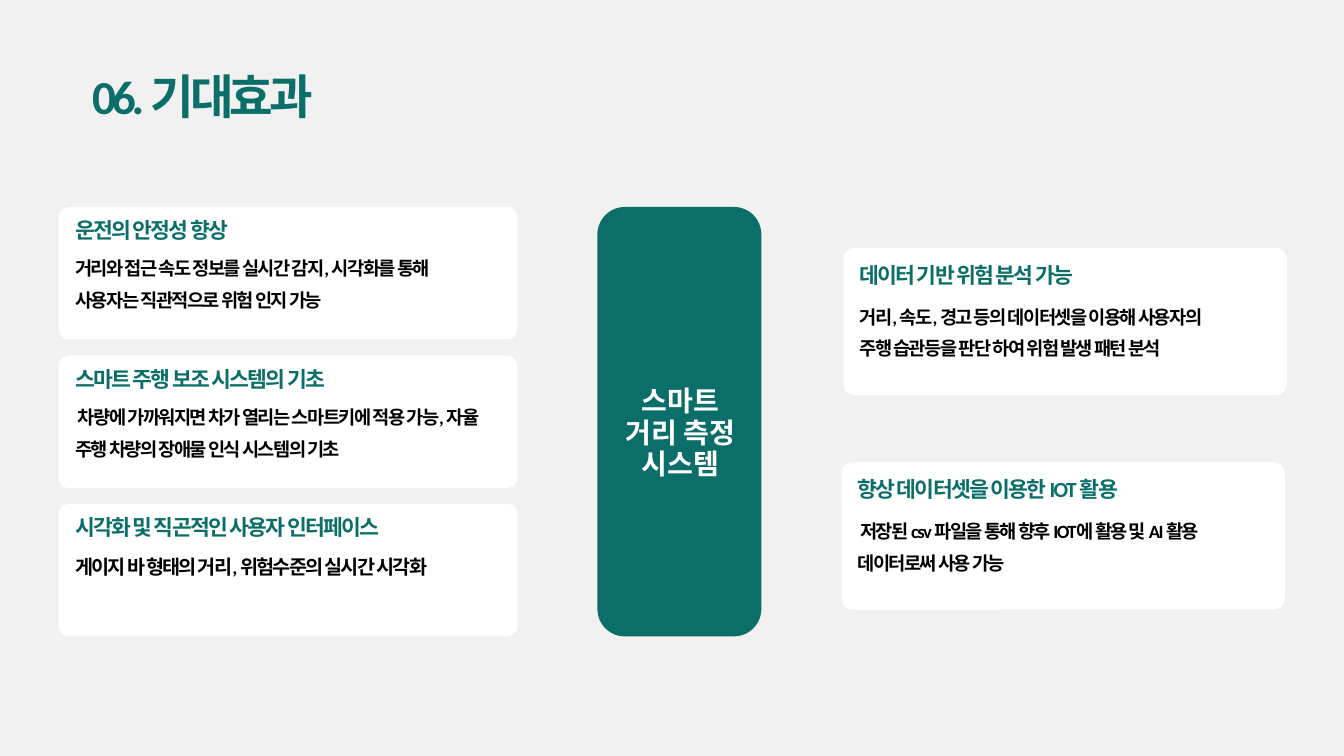
"""Build the expected-effects slide: benefit cards on both sides of a system pillar."""
import pptx
import pptx.dml.color
import pptx.enum.shapes
import pptx.enum.text
import pptx.util

Inches = pptx.util.Inches
Points = pptx.util.Pt
Color = pptx.dml.color.RGBColor.from_string
Align = pptx.enum.text.PP_ALIGN

TITLE = "06. 기대효과"
PILLAR_LINES = ["스마트", "거리 측정", "시스템"]
LEFT_CARDS = [
    ("운전의 안정성 향상",
     "거리와 접근 속도 정보를 실시간 감지, 시각화를 통해 사용자는 직관적으로 위험 인지 가능",
     "body", 5.65),
    ("스마트 주행 보조 시스템의 기초",
     " 차량에 가까워지면 차가 열리는 스마트키에 적용 가능, 자율 주행 차량의 장애물 인식 시스템의 기초",
     "body", 6.08),
    ("시각화 및 직곤적인 사용자 인터페이스",
     "게이지 바 형태의 거리, 위험수준의 실시간 시각화",
     "body_large", 6.19),
]
RIGHT_CARDS = [
    ("데이터 기반 위험 분석 가능",
     "거리, 속도, 경고 등의 데이터셋을 이용해 사용자의 주행 습관등을 판단 하여 위험 발생 패턴 분석",
     "body", 5.46),
    ("향상 데이터셋을 이용한 IOT 활용",
     " 저장된 csv 파일을 통해 향후 IOT에 활용 및 AI 활용 데이터로써 사용 가능",
     "body", 5.46),
]

THEME = {
    "background": "F1F1F1",
    "card": "FFFFFF",
    "accent": "0B6E69",
    "title": {"font": "Calibri", "size": 50.7, "color": "0B6E69", "line": 56.3, "tracking": -4.5},
    "heading": {"font": "Calibri", "size": 23.1, "color": "0B6E69", "line": 25.6, "tracking": -1.9},
    "body": {"font": "Calibri", "size": 20, "color": "000000", "line": 33.9, "tracking": -1.7},
    "body_large": {"font": "Calibri", "size": 21, "color": "000000", "line": 35.5, "tracking": -1.8},
    "pillar": {"font": "Arial", "size": 30.1, "color": "FFFFFF", "line": 33.4, "tracking": 0},
}

COLUMNS = [
    {"cards": LEFT_CARDS, "left": 0.87, "top": 3.08, "width": 6.83, "height": 1.97,
     "pitch": 2.21, "shift": 0, "inset": 0.25, "heading": 0.18, "body": 0.61},
    {"cards": RIGHT_CARDS, "left": 12.55, "top": 3.69, "width": 6.6, "height": 2.19,
     "pitch": 3.19, "shift": -0.03, "inset": 0.24, "heading": 0.23, "body": 0.72},
]


def write_text(shape, lines, style, align=Align.LEFT):
    frame = shape.text_frame
    settings = {
        "margin_left": 0, "margin_top": 0, "margin_right": 0, "margin_bottom": 0,
        "word_wrap": True,
        "auto_size": pptx.enum.text.MSO_AUTO_SIZE.SHAPE_TO_FIT_TEXT,
        "vertical_anchor": pptx.enum.text.MSO_ANCHOR.TOP,
    }
    for name, value in settings.items():
        setattr(frame, name, value)
    look = THEME[style]
    for index, line in enumerate(lines):
        paragraph = frame.add_paragraph() if index else frame.paragraphs[0]
        paragraph.alignment = align
        paragraph.line_spacing = Points(look["line"])
        run = paragraph.add_run()
        run.text = line
        for name, value in {"name": look["font"], "size": Points(look["size"]), "bold": True}.items():
            setattr(run.font, name, value)
        run.font.color.rgb = Color(look["color"])
        if look["tracking"]:
            run.font._element.set("spc", str(round(look["tracking"] * 100)))


def add_text(slide, box, lines, style, align=Align.LEFT):
    shape = slide.shapes.add_textbox(*map(Inches, box))
    write_text(shape, lines, style, align)


def add_panel(slide, box, color, rounding):
    kind = pptx.enum.shapes.MSO_SHAPE.ROUNDED_RECTANGLE
    shape = slide.shapes.add_shape(kind, *map(Inches, box))
    shape.adjustments[0] = rounding
    shape.shadow.inherit = False
    shape.fill.solid()
    shape.fill.fore_color.rgb = Color(color)
    shape.line.fill.background()


def add_column(slide, column):
    for index, (heading, body, style, body_width) in enumerate(column["cards"]):
        left = column["left"] + index * column["shift"]
        top = column["top"] + index * column["pitch"]
        text_left = left + column["inset"]
        add_panel(slide, (left, top, column["width"], column["height"]), THEME["card"], 0.075)
        add_text(slide, (text_left, top + column["heading"], 5, 0.42), [heading], "heading")
        body_height = 0.95 if style == "body" else 0.51
        add_text(slide, (text_left, top + column["body"], body_width, body_height), [body], style)


def main():
    presentation = pptx.Presentation()
    presentation.slide_width = Inches(20)
    presentation.slide_height = Inches(11.25)
    slide = presentation.slides.add_slide(presentation.slide_layouts[5])
    slide.background.fill.solid()
    slide.background.fill.fore_color.rgb = Color(THEME["background"])

    title = slide.shapes.title
    for name, value in {"left": 1.37, "top": 1.07, "width": 7.03, "height": 0.93}.items():
        setattr(title, name, Inches(value))
    write_text(title, [TITLE], "title")

    for column in COLUMNS:
        add_column(slide, column)
    add_panel(slide, (8.89, 3.08, 2.44, 6.39), THEME["accent"], 0.167)
    add_text(slide, (9.25, 5.75, 1.75, 1.42), PILLAR_LINES, "pillar", Align.CENTER)
    presentation.save("out.pptx")


if __name__ == "__main__":
    main()
